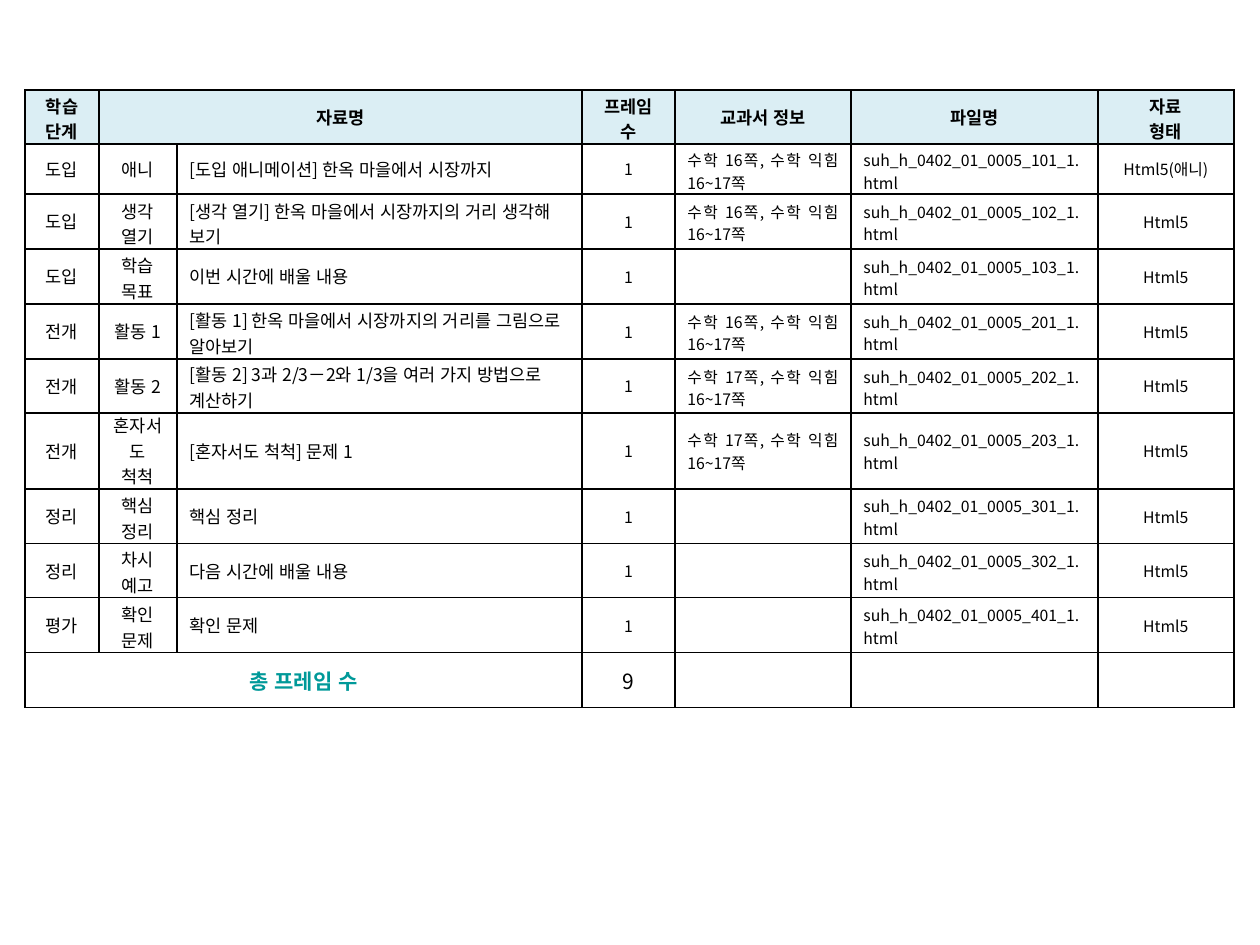
from lxml import etree
from pptx import Presentation, util as u
from pptx.dml.color import RGBColor
from pptx.enum import text
from pptx.oxml.ns import qn

PX = 914400 / 126
FONT = "Noto Sans CJK KR"
MID, LEFT, JUST = text.PP_ALIGN.CENTER, text.PP_ALIGN.LEFT, text.PP_ALIGN.JUSTIFY


def px(n):
    return u.Emu(round(n * PX))


def fill_cell(cell, words, size, align=MID, bold=False, color="000000",
              back=None, lines=1, height=55):
    cell.text = words
    cell.vertical_anchor = text.MSO_ANCHOR.MIDDLE
    if lines > 1:  # full cells start at the top and take what room is left
        cell.vertical_anchor = text.MSO_ANCHOR.TOP
        room = height - lines * size * 2.53
        cell.margin_top = px(max(0, min(6, int(room))))
        cell.margin_bottom = 0
    if lines > 2:
        cell.margin_left = cell.margin_right = px(14)
    for para in cell.text_frame.paragraphs:
        para.alignment = align
        font = para.font
        font.name, font.size, font.bold = FONT, u.Pt(size), bold
        font.color.rgb = RGBColor.from_string(color)
        base = para._p.pPr.find(qn("a:defRPr"))
        base.set("lang", "ko-KR")
        etree.SubElement(base, qn("a:ea"), typeface=FONT)
        if not words:  # an empty line keeps the small size too
            etree.SubElement(para._p, qn("a:endParaRPr"), sz=str(size * 100))
    # Borders come before the fill
    props = cell._tc.get_or_add_tcPr()
    for side in ("lnL", "lnR", "lnT", "lnB"):
        line = etree.SubElement(props, qn("a:" + side), w="12700")
        paint = etree.SubElement(line, qn("a:solidFill"))
        etree.SubElement(paint, qn("a:srgbClr"), val="000000")
    if back:
        cell.fill.solid()
        cell.fill.fore_color.rgb = RGBColor.from_string(back)
    else:
        cell.fill.background()


# Wording: step, part, title, textbook page, file number
heads = ["학습 단계", "자료명", "", "프레임 수", "교과서 정보", "파일명", "자료\n형태"]
items = [
    ("도입", "애니", "[도입 애니메이션] 한옥 마을에서 시장까지", 16, 101),
    ("도입", "생각 열기", "[생각 열기] 한옥 마을에서 시장까지의 거리 생각해 보기", 16, 102),
    ("도입", "학습 목표", "이번 시간에 배울 내용", None, 103),
    ("전개", "활동 1", "[활동 1] 한옥 마을에서 시장까지의 거리를 그림으로 알아보기", 16, 201),
    ("전개", "활동 2", "[활동 2] 3과 2/3－2와 1/3을 여러 가지 방법으로 계산하기", 17, 202),
    ("전개", "혼자서도 척척", "[혼자서도 척척] 문제 1", 17, 203),
    ("정리", "핵심 정리", "핵심 정리", None, 301),
    ("정리", "차시 예고", "다음 시간에 배울 내용", None, 302),
    ("평가", "확인 문제", "확인 문제", None, 401),
]
sizes = [10, 10, 10, 9, 9, 9, 9]
aligns = [MID, MID, LEFT, MID, JUST, JUST, MID]
widths = [74, 78, 405, 93, 176, 247, 136]
heights = [54, 50, 55, 55, 55, 54, 76, 55, 54, 55, 55]

# Slide
deck = Presentation()
deck.slide_width, deck.slide_height = px(1260), px(945)
slide = deck.slides.add_slide(deck.slide_layouts[6])

# Table grid
frame = slide.shapes.add_table(len(heights), len(widths), px(25), px(90),
                               px(sum(widths)), px(sum(heights)))
table = frame.table
table.first_row = table.horz_banding = False
for col, width in zip(table.columns, widths):
    col.width = px(width)
for row, height in zip(table.rows, heights):
    row.height = px(height)

# Header row
for c, head in enumerate(heads):
    lines = 2 if c in (0, 3, 6) else 1
    fill_cell(table.cell(0, c), head, 10, bold=True, back="DBEEF4",
              lines=lines, height=heights[0])
table.cell(0, 1).merge(table.cell(0, 2))

# Item rows
for r, (step, part, title, page, number) in enumerate(items, 1):
    book = f"수학 {page}쪽, 수학 익힘 16~17쪽" if page else ""
    file = f"suh_h_0402_01_0005_{number}_1.html"
    kind = "Html5(애니)" if r == 1 else "Html5"
    row = [step, part, title, "1", book, file, kind]
    tall = heights[r] > 60
    rows = [1, 3 if tall else 1 + (len(part) > 4), 1 + (len(title) > 28), 1,
            1 if tall or not book else 2, 1 if tall else 2, 1]
    for c, (words, size, align, lines) in enumerate(zip(row, sizes, aligns, rows)):
        fill_cell(table.cell(r, c), words, size, align,
                  lines=lines, height=heights[r])

# Total row
last = len(items) + 1
fill_cell(table.cell(last, 0), "총 프레임 수", 12, bold=True, color="009999")
for c in range(1, len(widths)):
    fill_cell(table.cell(last, c), str(len(items)) if c == 3 else "", 12)
table.cell(last, 0).merge(table.cell(last, 2))

deck.save("out.pptx")
